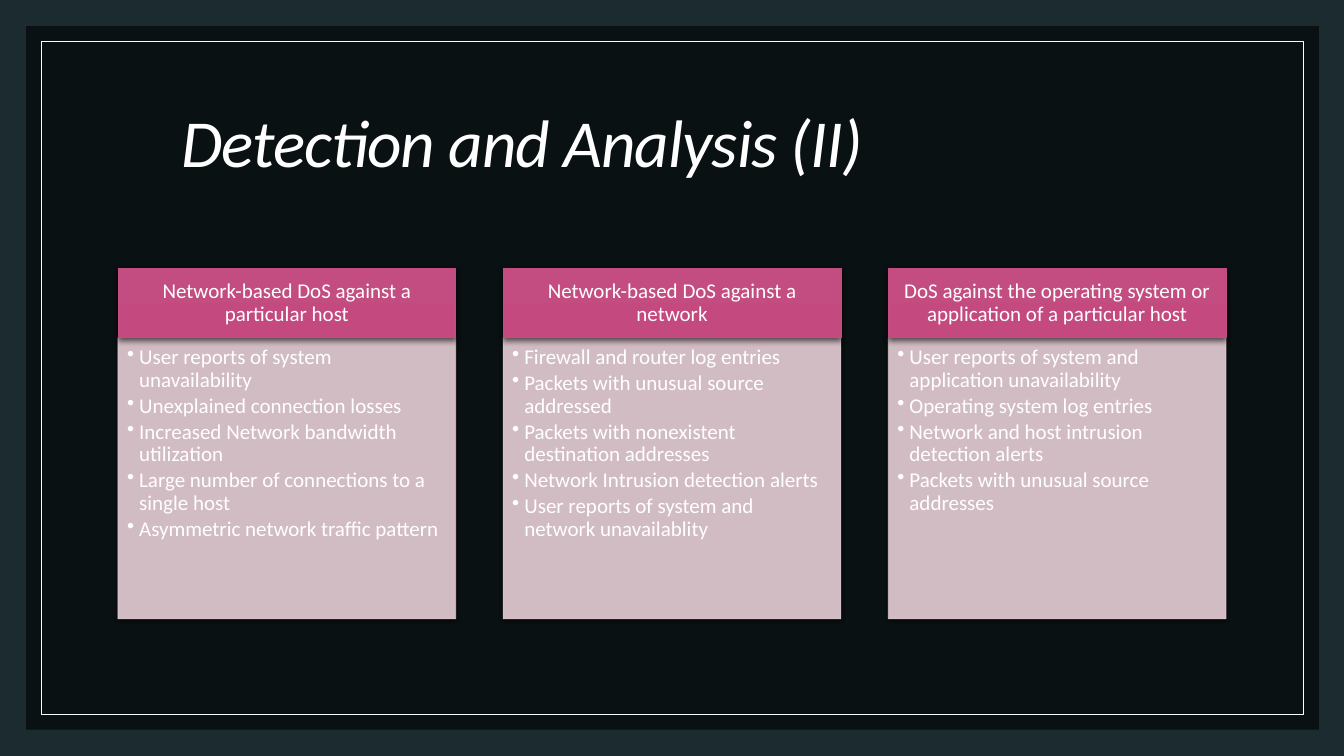
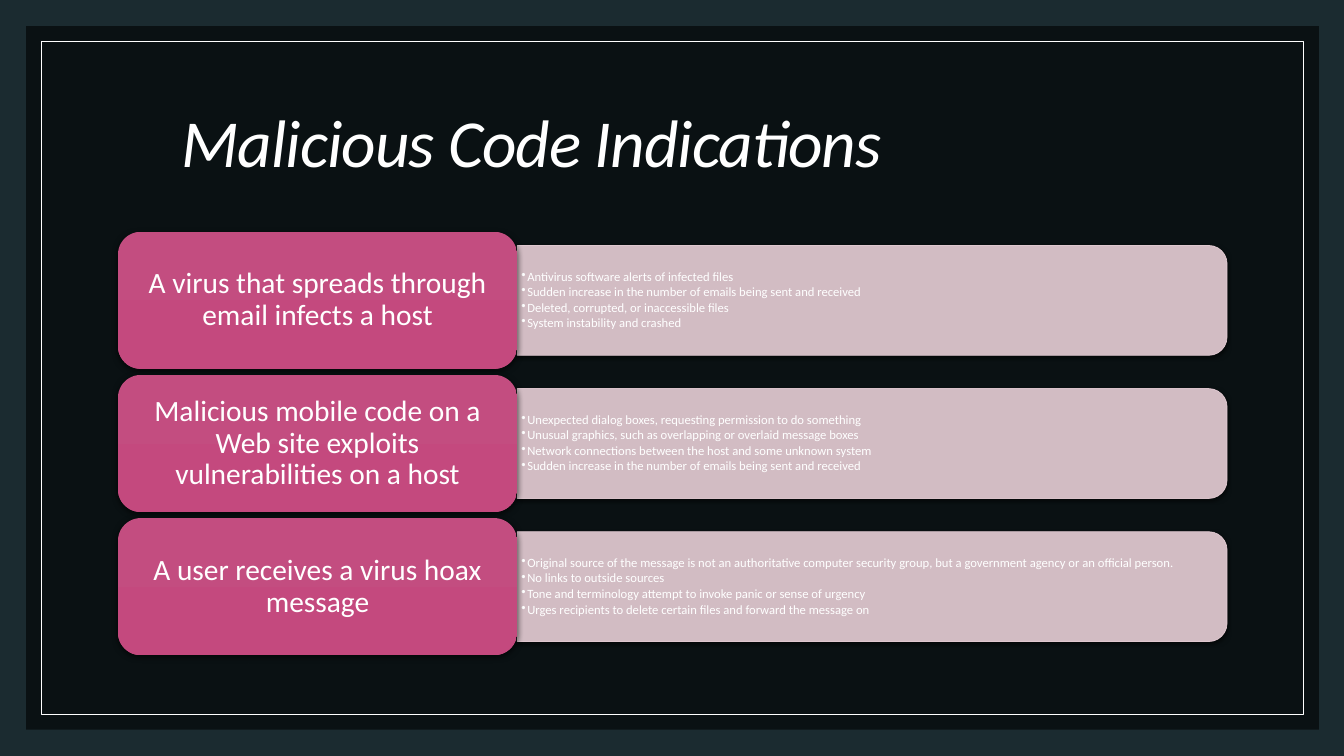
from dataclasses import dataclass

from lxml.etree import SubElement
from pptx import Presentation
from pptx.dml.color import RGBColor
from pptx.enum.shapes import MSO_SHAPE
from pptx.enum.text import MSO_ANCHOR, PP_ALIGN
from pptx.oxml.ns import qn
from pptx.util import Inches, Pt


@dataclass(frozen=True)
class Theme:
    font: str = "Calibri"
    backdrop: str = "1B2B30"
    panel: str = "000000"
    white: str = "FFFFFF"
    accent_top: str = "C34D80"
    accent_bottom: str = "C4497E"
    pale: str = "E9D0D8"
    shadow: str = "000000"
    title_size: int = 48
    label_size: int = 21
    card_size: int = 15
    detail_size: int = 9
    hairline: float = 0.5
    line_spacing: float = 0.9
    bullet_gap: float = 0.15


HEAD_SHADOW = (4.5, 1.5)
BODY_SHADOW = (3, 1)


class SlideBuilder:
    def __init__(self, deck, theme):
        self.deck = deck
        self.theme = theme
        self.page = None

    def new_page(self, title):
        theme = self.theme
        self.page = self.deck.slides.add_slide(self.deck.slide_layouts[6])
        backdrop = self.page.background.fill
        self.paint(backdrop, theme.backdrop)
        panel = self.shape(MSO_SHAPE.RECTANGLE, 0.26, 0.26, 12.82, 6.98)
        self.paint(panel.fill, theme.panel, 60)
        frame = self.shape(MSO_SHAPE.RECTANGLE, 0.41, 0.41, 12.52, 6.68)
        frame.fill.background()
        self.outline(frame, theme.white)
        box = self.page.shapes.add_textbox(*map(Inches, (1.17, 0.7, 11, 1.5)))
        self.set_text(box, [title], theme.title_size, (0.63, 0.05, 0.1, 0.05), italic=True)
        for span in box.text_frame.paragraphs[0].runs:
            span.font._element.set("spc", "-70")

    def shape(self, kind, left, top, width, height):
        shape = self.page.shapes.add_shape(kind, *map(Inches, (left, top, width, height)))
        shape.shadow.inherit = False
        shape.line.fill.background()
        return shape

    def paint(self, fill, color, opacity=100):
        fill.solid()
        fill.fore_color.rgb = RGBColor.from_string(color)
        if opacity < 100:
            tint = fill._xPr.find(".//" + qn("a:srgbClr"))
            SubElement(tint, qn("a:alpha"), val=str(opacity * 1000))

    def outline(self, shape, color, opacity=100):
        shape.line.width = Pt(self.theme.hairline)
        self.paint(shape.line.fill, color, opacity)

    def cast_shadow(self, shape, blur, distance):
        effects = shape._element.spPr.find(qn("a:effectLst"))
        shadow = SubElement(
            effects, qn("a:outerShdw"), blurRad=str(Pt(blur)), dist=str(Pt(distance)),
            dir="5400000", algn="ctr", rotWithShape="0",
        )
        tint = SubElement(shadow, qn("a:srgbClr"), val=self.theme.shadow)
        SubElement(tint, qn("a:alpha"), val="63000")

    def accent_block(self, kind, *place):
        block = self.shape(kind, *place)
        block.fill.gradient()
        block.fill.gradient_angle = 270
        colors = (self.theme.accent_top, self.theme.accent_bottom)
        for stop, color in zip(block.fill.gradient_stops, colors):
            stop.color.rgb = RGBColor.from_string(color)
        self.cast_shadow(block, *HEAD_SHADOW)
        return block

    def pale_block(self, kind, *place):
        block = self.shape(kind, *place)
        self.paint(block.fill, self.theme.pale, 90)
        self.outline(block, self.theme.pale, 90)
        self.cast_shadow(block, *BODY_SHADOW)
        return block

    def set_text(self, box, lines, size, margins, anchor=MSO_ANCHOR.MIDDLE,
                 align=PP_ALIGN.LEFT, bullet_indent=0, italic=False):
        frame = box.text_frame
        frame.word_wrap = True
        frame.vertical_anchor = anchor
        for side, margin in zip(("left", "top", "right", "bottom"), margins):
            setattr(frame, f"margin_{side}", Inches(margin))
        font_format = {"name": self.theme.font, "size": Pt(size), "italic": italic}
        for index, line in enumerate(lines):
            para = frame.paragraphs[0] if index == 0 else frame.add_paragraph()
            para.alignment = align
            para.line_spacing = self.theme.line_spacing
            if bullet_indent:
                para.space_after = Pt(round(size * self.theme.bullet_gap, 2))
                self.add_bullet(para, bullet_indent)
            span = para.add_run()
            span.text = line
            for name, value in font_format.items():
                setattr(span.font, name, value)
            span.font.color.rgb = RGBColor.from_string(self.theme.white)

    def add_bullet(self, para, indent):
        properties = para._p.get_or_add_pPr()
        properties.set("marL", str(Inches(indent)))
        properties.set("indent", str(-Inches(indent)))
        SubElement(properties, qn("a:buChar"), char="•")

    def card(self, left, heading, points):
        size = self.theme.card_size
        body = self.pale_block(MSO_SHAPE.RECTANGLE, left, 3.35, 3.35, 2.79)
        self.set_text(body, points, size, (0.09, 0.09, 0.12, 0.13),
                      anchor=MSO_ANCHOR.TOP, bullet_indent=0.12)
        head = self.accent_block(MSO_SHAPE.RECTANGLE, left, 2.66, 3.35, 0.69)
        self.outline(head, self.theme.accent_top)
        self.set_text(head, [heading], size, (0.12, 0.07, 0.12, 0.07), align=PP_ALIGN.CENTER)

    def row(self, top, heading, points):
        left, label_width, label_height = 1.17, 3.96, 1.36
        strip_width, strip_height = 7.04, 1.09
        strip_left = left + label_width
        middle = top + label_height / 2
        strip = self.pale_block(
            MSO_SHAPE.ROUND_2_SAME_RECTANGLE,
            strip_left + (strip_width - strip_height) / 2, middle - strip_width / 2,
            strip_height, strip_width,
        )
        strip.rotation = 90
        detail = self.page.shapes.add_textbox(
            *map(Inches, (strip_left, middle - 0.49, 6.99, 0.98)))
        self.set_text(detail, points, self.theme.detail_size, (0.04, 0.02, 0.04, 0.02),
                      bullet_indent=0.06)
        label = self.accent_block(
            MSO_SHAPE.ROUNDED_RECTANGLE, left, top, label_width, label_height)
        self.set_text(label, [heading], self.theme.label_size, (0.09, 0.04, 0.09, 0.04),
                      align=PP_ALIGN.CENTER)


DETECTION_CARDS = [
    ("Network-based DoS against a particular host", [
        "User reports of system unavailability",
        "Unexplained connection losses",
        "Increased Network bandwidth utilization",
        "Large number of connections to a single host",
        "Asymmetric network traffic pattern",
    ]),
    ("Network-based DoS against a network", [
        "Firewall and router log entries",
        "Packets with unusual source addressed",
        "Packets with nonexistent destination addresses",
        "Network Intrusion detection alerts",
        "User reports of system and network unavailablity",
    ]),
    ("DoS against the operating system or application of a particular host", [
        "User reports of system and application unavailability",
        "Operating system log entries",
        "Network and host intrusion detection alerts",
        "Packets with unusual source addresses",
    ]),
]

EMAIL_INCREASE = "Sudden increase in the number of emails being sent and received"

MALICIOUS_CODE_ROWS = [
    ("A virus that spreads through email infects a host", [
        "Antivirus software alerts of infected files",
        EMAIL_INCREASE,
        "Deleted, corrupted, or inaccessible files",
        "System instability and crashed",
    ]),
    ("Malicious mobile code on a Web site exploits vulnerabilities on a host", [
        "Unexpected dialog boxes, requesting permission to do something",
        "Unusual graphics, such as overlapping or overlaid message boxes",
        "Network connections between the host and some unknown system",
        EMAIL_INCREASE,
    ]),
    ("A user receives a virus hoax message", [
        "Original source of the message is not an authoritative computer security group, "
        "but a government agency or an official person.",
        "No links to outside sources",
        "Tone and terminology attempt to invoke panic or sense of urgency",
        "Urges recipients to delete certain files and forward the message on",
    ]),
]


def main():
    deck = Presentation()
    deck.slide_width, deck.slide_height = Inches(13.33), Inches(7.5)
    builder = SlideBuilder(deck, Theme())

    builder.new_page("Detection and Analysis (II)")
    for index, (heading, points) in enumerate(DETECTION_CARDS):
        builder.card(1.17 + index * 3.82, heading, points)

    builder.new_page("Malicious Code Indications")
    for index, (heading, points) in enumerate(MALICIOUS_CODE_ROWS):
        builder.row(2.3 + index * 1.42, heading, points)

    deck.save("out.pptx")


if __name__ == "__main__":
    main()
